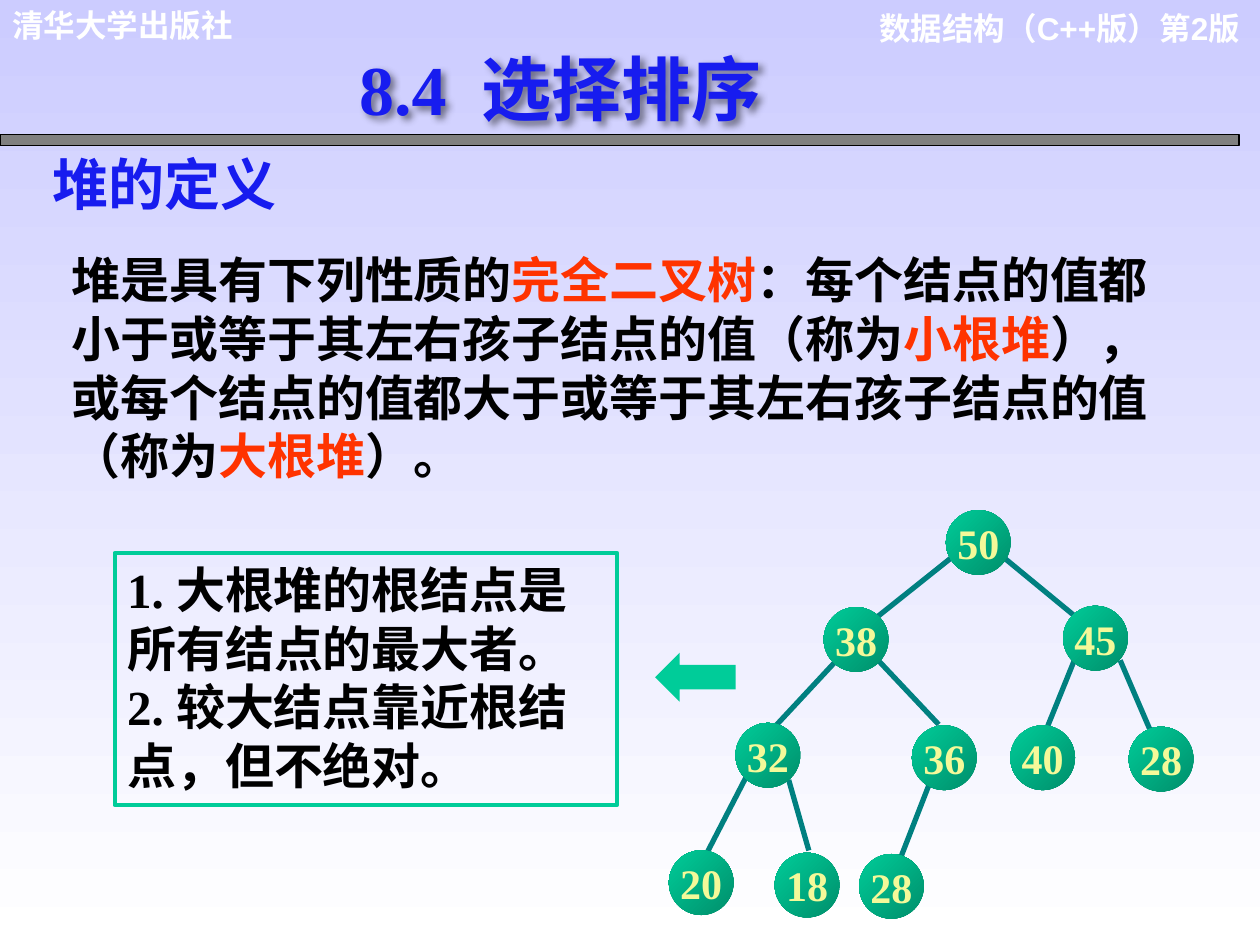
from lxml import etree
from pptx import Presentation
from pptx.dml.color import RGBColor
from pptx.enum import shapes, text
from pptx.oxml import ns
from pptx.util import Pt

COLORS = {
    "sky": "CCCCFF", "white": "FFFFFF", "gray": "808080", "black": "000000",
    "blue": "171CEF", "red": "FF3300", "green": "00CC99", "dark_green": "008F6B",
    "teal": "008080", "yellow": "F4F999",
}
RGB = {name: RGBColor.from_string(code) for name, code in COLORS.items()}


def write(part, paragraphs, size, color, font="Arial", align=text.PP_ALIGN.LEFT):
    frame = part.text_frame
    frame.word_wrap = True
    frame.auto_size = text.MSO_AUTO_SIZE.NONE
    frame.vertical_anchor = text.MSO_ANCHOR.TOP
    for index, pieces in enumerate(paragraphs):
        paragraph = frame.add_paragraph() if index else frame.paragraphs[0]
        paragraph.alignment = align
        paragraph.space_before = Pt(0)
        properties = paragraph._p.get_or_add_pPr()
        properties.set("marL", "0")
        properties.set("indent", "0")
        etree.SubElement(properties, ns.qn("a:buNone"))
        paragraph.font.name = font
        paragraph.font.size = Pt(size)
        paragraph.font.bold = True
        paragraph.font.color.rgb = RGB[color]
        for words, accent in pieces:
            run = paragraph.add_run()
            run.text = words
            if accent:
                run.font.color.rgb = RGB[accent]


def place(part, left, top, width, height):
    part.left, part.top, part.width, part.height = map(Pt, (left, top, width, height))


deck = Presentation()
deck.slide_width, deck.slide_height = Pt(720), Pt(540)
slide = deck.slides.add_slide(deck.slide_layouts[1])
canvas = slide.shapes

backdrop = slide.background.fill
backdrop.gradient()
backdrop.gradient_angle = 270
for stop, color in zip(backdrop.gradient_stops, ("sky", "white")):
    stop.color.rgb = RGB[color]

rule = canvas.add_shape(shapes.MSO_SHAPE.RECTANGLE, Pt(0), Pt(77), Pt(708), Pt(6))
rule.shadow.inherit = False
rule.fill.solid()
rule.fill.fore_color.rgb = RGB["gray"]
rule.line.color.rgb = RGB["black"]
rule.line.width = Pt(0.75)

title = canvas.title
place(title, 198, 22.3, 287.3, 55.4)
write(title, [[("8.4", None), (" ", None), ("选择排序", None)]], 40, "blue", "Times New Roman")
title.text_frame.paragraphs[0].runs[1]._r.get_or_add_rPr().set("spc", "1000")
effects = etree.SubElement(title._element.spPr, ns.qn("a:effectLst"))
shadow = etree.SubElement(effects, ns.qn("a:outerShdw"), blurRad="50800", dist="38100", dir="2700000")
shade = etree.SubElement(shadow, ns.qn("a:srgbClr"), val=COLORS["black"])
etree.SubElement(shade, ns.qn("a:alpha"), val="45000")

definition = [
    ("堆是具有下列性质的", None), ("完全二叉树", "red"),
    ("：每个结点的值都小于或等于其左右孩子结点的值（称为", None), ("小根堆", "red"),
    ("），或每个结点的值都大于或等于其左右孩子结点的值（称为", None), ("大根堆", "red"),
    ("）。", None),
]
passages = [
    ((487.4, 1.4, 228.2, 28.8), [("数据结构（C++版）第2版", None)], 18, "white", text.PP_ALIGN.RIGHT),
    ((0, 0, 195, 28.8), [("清华大学出版社", None)], 18, "white", text.PP_ALIGN.LEFT),
    ((23, 82, 252, 45.4), [("堆的定义", None)], 32, "blue", text.PP_ALIGN.LEFT),
    ((33.8, 139, 645, 142), definition, 28, "black", text.PP_ALIGN.LEFT),
]
for bounds, pieces, size, color, align in passages:
    passage = canvas.add_textbox(*map(Pt, bounds))
    write(passage, [pieces], size, color, align=align)

remarks = slide.placeholders[1]
place(remarks, 65.5, 316, 287.3, 144)
remarks.line.color.rgb = RGB["green"]
remarks.line.width = Pt(2.25)
write(remarks, [
    [("1. 大根堆的根结点是所有结点的最大者。", None)],
    [("2. 较大结点靠近根结点，但不绝对。", None)],
], 28, "black", "Times New Roman")

arrow = canvas.add_shape(shapes.MSO_SHAPE.LEFT_ARROW, Pt(374.4), Pt(373), Pt(46), Pt(28))
arrow.shadow.inherit = False
arrow.fill.solid()
arrow.fill.fore_color.rgb = RGB["green"]
arrow.line.fill.background()

branches = [
    (544.3, 318.2, 501.8, 352.1), (573.1, 318.2, 613.4, 351.4),
    (478.1, 377.3, 440.6, 417.6), (501.8, 377.3, 536.4, 414),
    (614.2, 376.6, 597.6, 417.6), (640.1, 377.3, 657.4, 417.6),
    (427, 442.8, 403.2, 488.9), (450.7, 445.7, 462.2, 486),
    (531.4, 447.1, 511.2, 499),
]
for ends in branches:
    branch = canvas.add_connector(shapes.MSO_CONNECTOR.STRAIGHT, *map(Pt, ends))
    branch.line.color.rgb = RGB["teal"]
    branch.line.width = Pt(3)
    etree.SubElement(branch._element.spPr, ns.qn("a:effectLst"))

DIAMETER = 37
nodes = [
    ("50", 559, 310), ("38", 489.2, 365.4), ("45", 626, 364.7),
    ("32", 438.8, 431.6), ("36", 539.6, 433), ("40", 595.8, 433), ("28", 663.5, 433.8),
    ("20", 400.7, 504.4), ("18", 461.2, 505.8), ("28", 509.4, 506.5),
]
for key, x, y in nodes:
    node = canvas.add_shape(shapes.MSO_SHAPE.OVAL, Pt(x - DIAMETER / 2), Pt(y - DIAMETER / 2),
                            Pt(DIAMETER), Pt(DIAMETER))
    node.shadow.inherit = False
    node.line.fill.background()
    node.fill.gradient()
    node.fill.gradient_angle = 135
    for stop, color in zip(node.fill.gradient_stops, ("dark_green", "green")):
        stop.color.rgb = RGB[color]
    write(node, [[(key, None)]], 24, "yellow", "Times New Roman", text.PP_ALIGN.CENTER)
    label = node.text_frame
    label.word_wrap = False
    label.vertical_anchor = text.MSO_ANCHOR.MIDDLE
    label.margin_left = label.margin_right = label.margin_top = label.margin_bottom = Pt(0)

deck.save("out.pptx")
